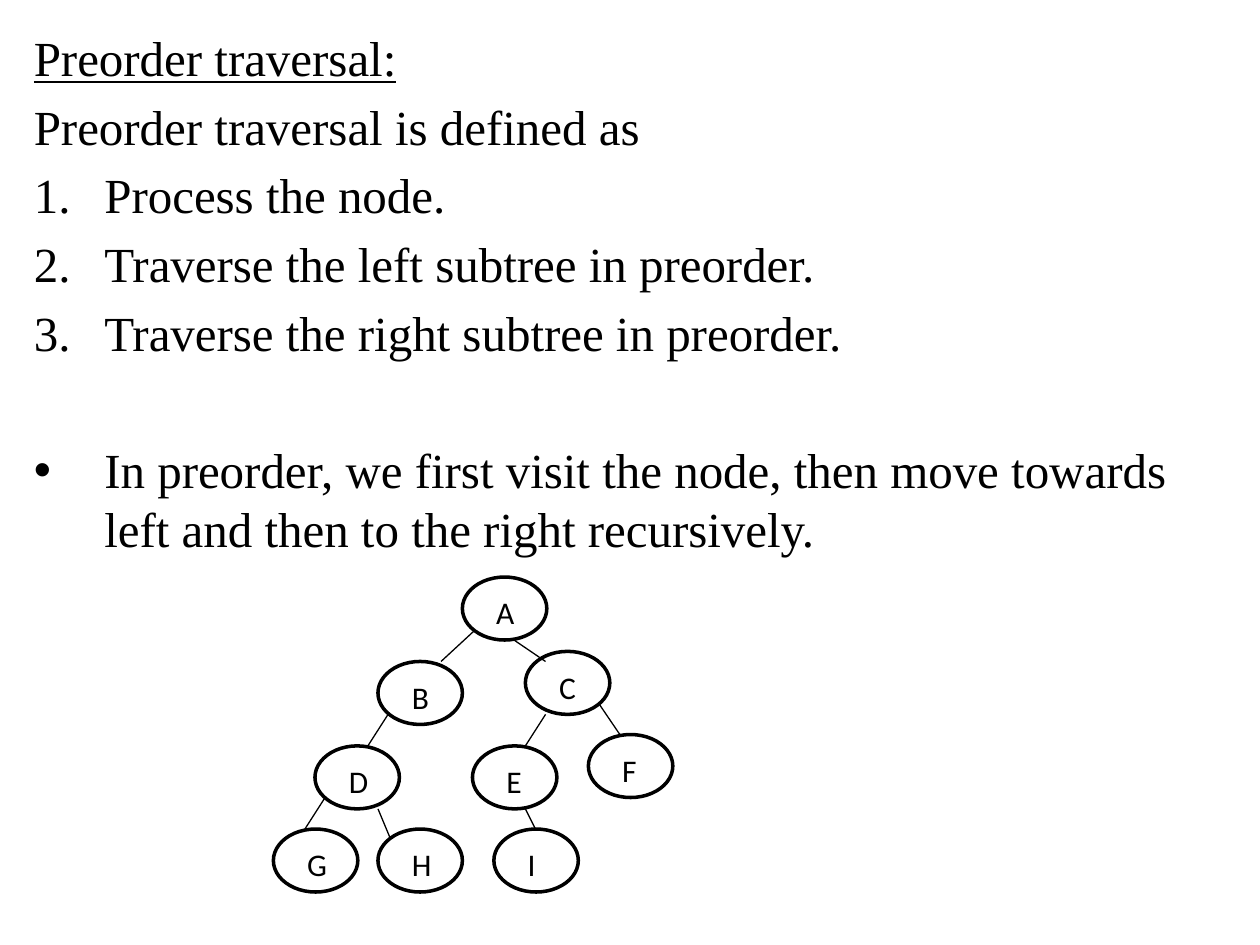
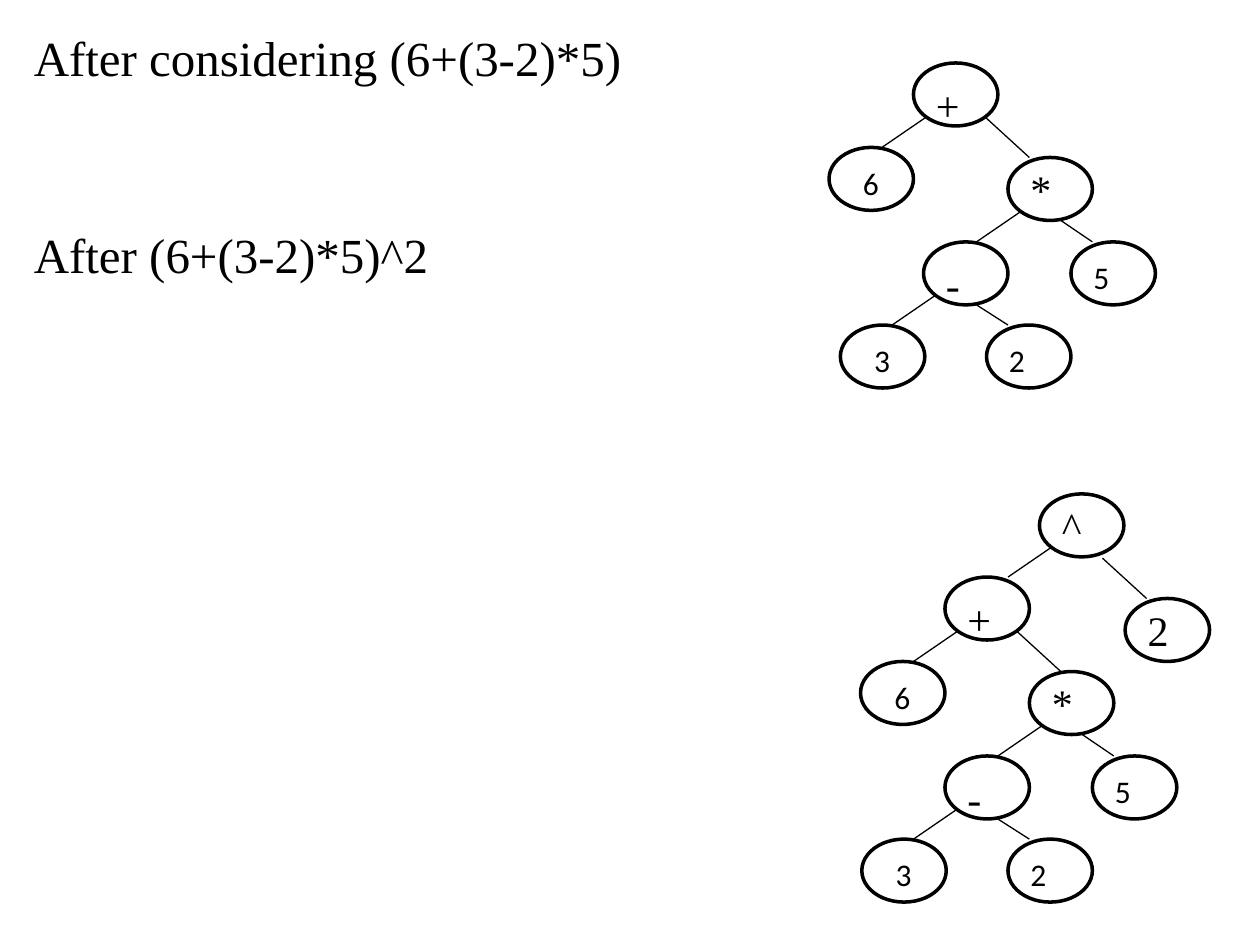
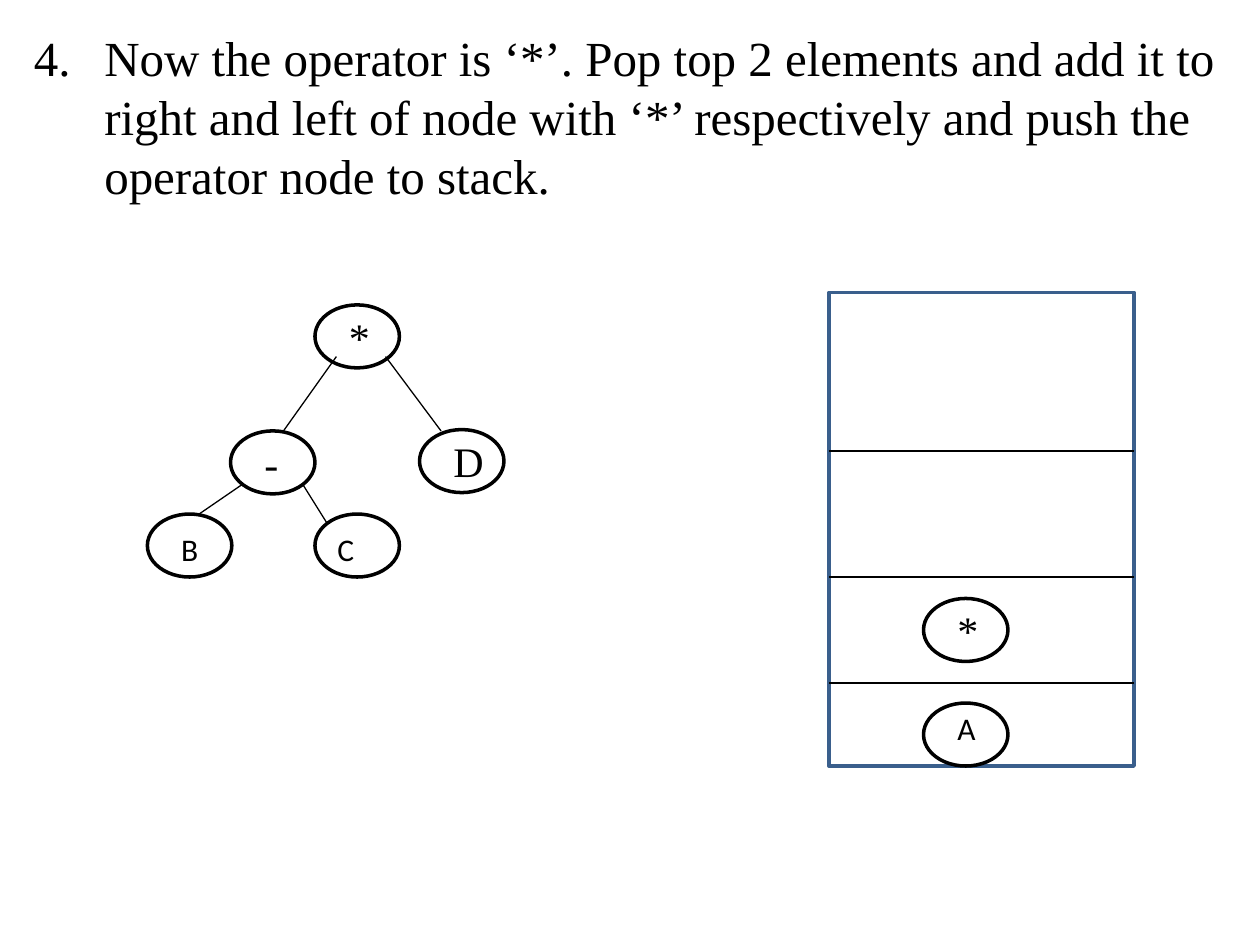
"""Build three slides on tree traversal and expression trees."""
from typing import Any, NamedTuple

from lxml import etree
from pptx import Presentation
from pptx.dml.color import RGBColor
from pptx.enum.shapes import MSO_CONNECTOR, MSO_SHAPE
from pptx.enum.text import MSO_AUTO_SIZE
from pptx.oxml.ns import qn
from pptx.slide import Slide
from pptx.util import Inches, Pt

OVAL = MSO_SHAPE.OVAL
RECT = MSO_SHAPE.RECTANGLE
LINE = MSO_CONNECTOR.STRAIGHT
GROW = MSO_AUTO_SIZE.SHAPE_TO_FIT_TEXT
HEX = {"ink": "000000", "paper": "FFFFFF", "stack": "3A5F8C"}
RGB = {name: RGBColor.from_string(code) for name, code in HEX.items()}
SERIF, SANS = "Times New Roman", "Calibri"
BODY = {"name": SERIF, "size": Pt(28)}
BIG = {"name": SERIF, "size": Pt(24)}
SMALL = {"name": SANS, "size": Pt(18)}
NODE_W, NODE_H = 0.67, 0.5
HANG = Inches(0.56)
GAP = 5.6


class Para(NamedTuple):
    """A body paragraph with its mark and the space before it in points."""
    text: str
    mark: str = ""
    gap: float = GAP
    start: int = 1
    under: bool = False


class Node(NamedTuple):
    """A tree node with its place and the offset of its label."""
    text: str
    x: float
    y: float
    dx: float = 0.17
    dy: float = 0.08
    big: bool = False


class Link(NamedTuple):
    """A straight line between two points."""
    x1: float
    y1: float
    x2: float
    y2: float


class Tree(NamedTuple):
    """Nodes and the links between them."""
    nodes: list[Node]
    links: list[Link]


ORDER = [
    Para("Preorder traversal:", gap=0, under=True),
    Para("Preorder traversal is defined as"),
    Para("Process the node.", "num"),
    Para("Traverse the left subtree in preorder.", "num"),
    Para("Traverse the right subtree in preorder.", "num"),
    Para("In preorder, we first visit the node, then move towards left "
         "and then to the right recursively.", "dot", 45),
]
STEPS = [
    Para("After considering (6+(3-2)*5)", gap=0),
    Para("After (6+(3-2)*5)^2", gap=79),
]
STAR = [
    Para("Now the operator is ‘*’. Pop top 2 elements and add it to right "
         "and left of node with ‘*’ respectively and push the operator node "
         "to stack.", "num", 0, 4),
]
WALK = Tree(
    [Node("A", 3.67, 4.58), Node("B", 3, 5.25), Node("C", 4.17, 5.17),
     Node("D", 2.5, 5.92), Node("E", 3.75, 5.92), Node("F", 4.67, 5.83),
     Node("G", 2.17, 6.58), Node("H", 3, 6.58), Node("I", 3.92, 6.58)],
    [Link(3.76, 5.01, 3.5, 5.25), Link(4.08, 5.08, 4.33, 5.25),
     Link(2.58, 6.33, 2.42, 6.58), Link(3.08, 5.67, 2.92, 5.92),
     Link(4.75, 5.58, 4.92, 5.83), Link(4.33, 5.67, 4.17, 5.92),
     Link(3, 6.42, 3.1, 6.66), Link(4.17, 6.42, 4.25, 6.58)],
)
TIMES = Tree(
    [Node("-", 7.33, 1.92, 0.08, 0.08, True), Node("3", 6.67, 2.58),
     Node("2", 7.83, 2.58, 0.08), Node("*", 8, 1.25, 0.08, 0, True),
     Node("5", 8.5, 1.92, 0.08)],
    [Link(7.43, 2.34, 7.08, 2.58), Link(7.75, 2.42, 8, 2.58),
     Link(8.1, 1.68, 7.75, 1.92), Link(8.42, 1.75, 8.67, 1.92)],
)
PLUS = Tree(
    [Node("+", 7.25, 0.5, 0.08, 0.08, True), Node("6", 6.58, 1.17)],
    [Link(7.35, 0.93, 7, 1.17), Link(7.82, 0.93, 8.17, 1.25)],
)
POWER = Tree(
    [Node("^", 8.25, 3.92, 0.08, 0, True),
     Node("2", 8.93, 4.75, 0.08, 0, True)],
    [Link(8.35, 4.34, 8, 4.58), Link(8.75, 4.43, 9.1, 4.75)],
)
POPPED = Tree(
    [Node("-", 1.83, 3.42, dy=0, big=True), Node("B", 1.17, 4.08),
     Node("C", 2.5, 4.08, 0.08), Node("*", 2.5, 2.42, dy=0, big=True),
     Node("D", 3.33, 3.41, dy=0, big=True)],
    [Link(1.93, 3.84, 1.58, 4.08), Link(2.4, 3.84, 2.6, 4.16),
     Link(2.67, 2.83, 2.25, 3.42), Link(3.06, 2.83, 3.5, 3.42)],
)
STACK = Tree(
    [Node("A", 7.33, 5.58, dy=0), Node("*", 7.33, 4.75, dy=0, big=True)],
    [Link(6.58, y, 9, y) for y in (3.58, 4.58, 5.42)],
)


def style(font: Any, look: dict[str, Any]) -> None:
    """Set each format value of a look on a font, in ink."""
    for key, value in look.items():
        setattr(font, key, value)
    font.color.rgb = RGB["ink"]


def mark(para: Any, item: Para) -> None:
    """Hang a paragraph behind a number or a dot."""
    props = para._p.get_or_add_pPr()
    props.set("marL", str(HANG))
    props.set("indent", str(-HANG))
    if item.mark == "num":
        tag = etree.SubElement(props, qn("a:buAutoNum"), type="arabicPeriod")
        if item.start > 1:
            tag.set("startAt", str(item.start))
    else:
        etree.SubElement(props, qn("a:buFont"), typeface="Arial")
        etree.SubElement(props, qn("a:buChar"), char="•")


def body(slide: Slide, items: list[Para]) -> None:
    """Write the main text of a slide."""
    box = slide.shapes.add_textbox(*map(Inches, (0.17, 0.17, 9.67, 7.17)))
    frame = box.text_frame
    frame.word_wrap = True
    for i, item in enumerate(items):
        para = frame.add_paragraph() if i else frame.paragraphs[0]
        para.space_before = Pt(item.gap)
        if item.mark:
            mark(para, item)
        run = para.add_run()
        run.text = item.text
        style(run.font, BODY | {"underline": item.under})


def shape(slide: Slide, kind: Any, at: tuple[float, ...], edge: str) -> None:
    """Draw a paper-filled shape with a coloured edge."""
    item = slide.shapes.add_shape(kind, *map(Inches, at))
    item.shadow.inherit = False
    item.fill.solid()
    item.fill.fore_color.rgb = RGB["paper"]
    item.line.color.rgb = RGB[edge]
    item.line.width = Pt(2)


def label(slide: Slide, node: Node) -> None:
    """Write the label of a node."""
    at = (node.x + node.dx, node.y + node.dy, 0.5, 0.51 if node.big else 0.4)
    frame = slide.shapes.add_textbox(*map(Inches, at)).text_frame
    frame.word_wrap = True
    frame.auto_size = GROW
    run = frame.paragraphs[0].add_run()
    run.text = node.text
    style(run.font, BIG if node.big else SMALL)


def join(slide: Slide, link: Link) -> None:
    """Draw a thin line."""
    wire = slide.shapes.add_connector(LINE, *map(Inches, link))
    wire.line.color.rgb = RGB["ink"]
    wire.line.width = Pt(0.75)
    etree.SubElement(wire._element.spPr, qn("a:effectLst"))


def grow(slide: Slide, tree: Tree, dx: float = 0, dy: float = 0) -> None:
    """Draw a tree moved by an offset."""
    for base in tree.nodes:
        node = base._replace(x=base.x + dx, y=base.y + dy)
        shape(slide, OVAL, (node.x, node.y, NODE_W, NODE_H), "ink")
        label(slide, node)
    for x1, y1, x2, y2 in tree.links:
        join(slide, Link(x1 + dx, y1 + dy, x2 + dx, y2 + dy))


def main() -> None:
    """Build and save the slides."""
    deck = Presentation()
    deck.slide_width, deck.slide_height = Inches(10), Inches(7.5)
    walk, steps, star = (deck.slides.add_slide(deck.slide_layouts[6])
                         for _ in range(3))
    body(walk, ORDER)
    grow(walk, WALK)

    body(steps, STEPS)
    for tree, dx in ((TIMES, 0.17), (PLUS, 0.25)):
        grow(steps, tree)
        grow(steps, tree, dx, 4.08)
    grow(steps, POWER)

    body(star, STAR)
    grow(star, POPPED)
    shape(star, RECT, (6.58, 2.32, 2.42, 3.76), "stack")
    grow(star, STACK)
    deck.save("out.pptx")


if __name__ == "__main__":
    main()
